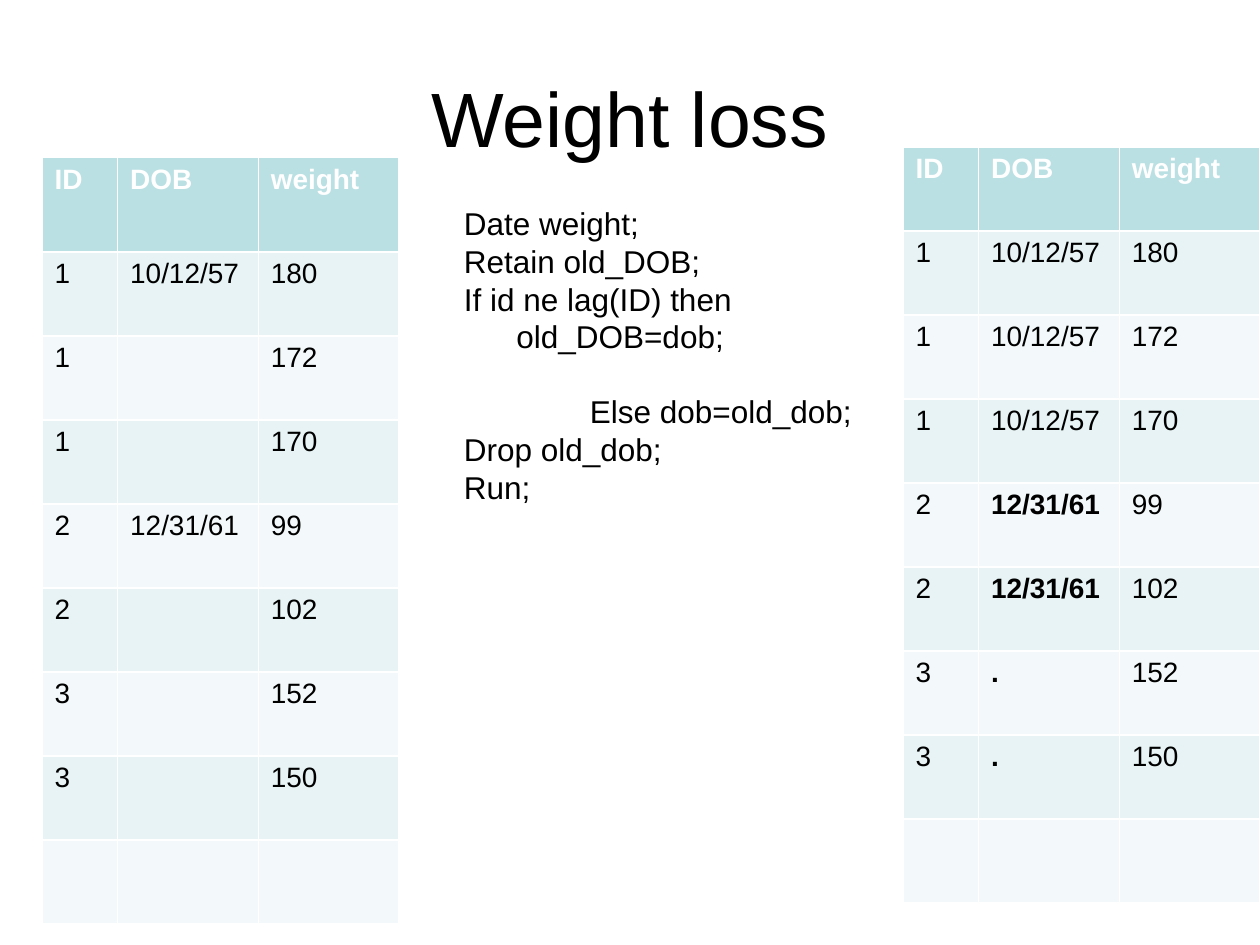
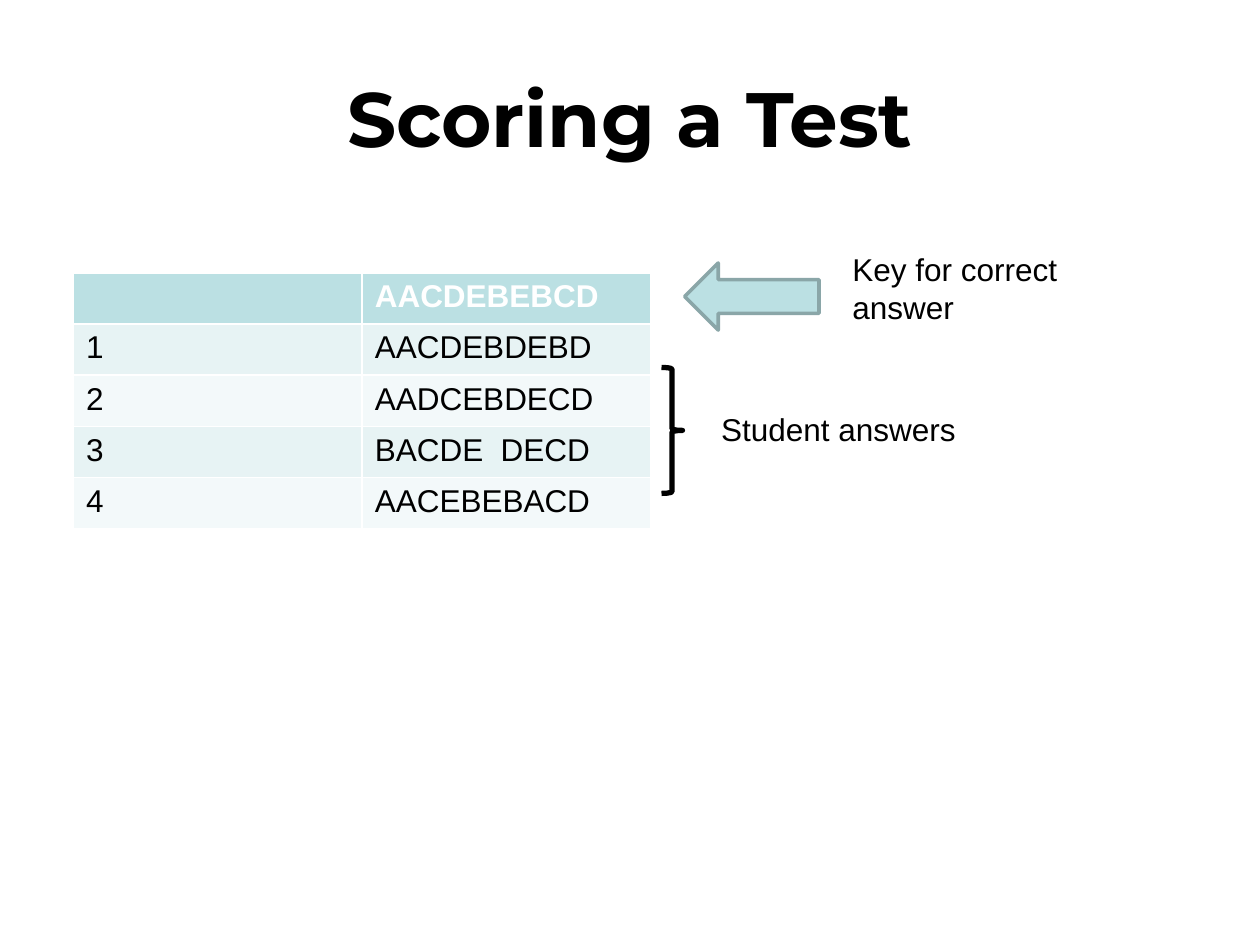
"""Builds two slides on retaining values and scoring a test."""
from dataclasses import dataclass
from typing import NamedTuple

import pptx
import pptx.dml.color
import pptx.enum.shapes
import pptx.enum.text
import pptx.util

SHAPES = pptx.enum.shapes.MSO_SHAPE
GRID_COLUMNS, GRID_ROWS = 120, 90
SLIDE_WIDTH, SLIDE_HEIGHT = pptx.util.Inches(10), pptx.util.Inches(7.5)


@dataclass(frozen=True)
class Theme:
    font: str = "Arial"
    accent_font: str = "Montserrat"
    ink: str = "000000"
    paper: str = "FFFFFF"
    header: str = "BBE0E3"
    bands: tuple[str, str] = ("E7F3F4", "F3F9FA")
    outline: str = "8AA6A8"
    title_size: int = 44
    body_size: int = 18
    record_size: int = 16


THEME = Theme()


class Area(NamedTuple):
    left: float
    top: float
    width: float
    height: float


class Line(NamedTuple):
    text: str
    indent: float = 0
    gap: float = 0


@dataclass(frozen=True)
class Grid:
    left: float
    top: float
    columns: tuple[float, ...]
    header_height: float
    row_height: float
    rows: list[tuple[str, ...]]
    size: int
    bold: frozenset[tuple[int, int]] = frozenset()


@dataclass(frozen=True)
class Marker:
    kind: pptx.enum.shapes.MSO_SHAPE
    area: Area
    line: str
    line_width: float
    fill: str | None = None
    rotation: float = 0


TITLE_AREA = Area(6, 3.6, 108, 15)
HEADER = ("ID", "DOB", "weight")
RECORDS = [("1", "180"), ("1", "172"), ("1", "170"), ("2", "99"),
           ("2", "102"), ("3", "152"), ("3", "150")]
RECORDED_DOBS = ["10/12/57", "", "", "12/31/61", "", "", ""]
RETAINED_DOBS = ["10/12/57"] * 3 + ["12/31/61"] * 2 + ["."] * 2
RECORD_COLUMNS = (7.2, 13.4, 13.4)
RETAIN_STEP = [
    Line("Date weight;"),
    Line("Retain old_DOB;"),
    Line("If id ne lag(ID) then"),
    Line("old_DOB=dob;", indent=5),
    Line("Else dob=old_dob;", indent=12, gap=21),
    Line("Drop old_dob;"),
    Line("Run;"),
]
ANSWERS = [("", "AACDEBEBCD"), ("1", "AACDEBDEBD"), ("2", "AADCEBDECD"),
           ("3", "BACDE  DECD"), ("4", "AACEBEBACD")]


def across(columns: float) -> int:
    """Turn grid columns into a length."""
    return round(SLIDE_WIDTH * columns / GRID_COLUMNS)


def down(rows: float) -> int:
    """Turn grid rows into a length."""
    return round(SLIDE_HEIGHT * rows / GRID_ROWS)


def place(area: Area) -> tuple[int, int, int, int]:
    """Turn a grid area into left, top, width and height."""
    return across(area.left), down(area.top), across(area.width), down(area.height)


def rgb(colour: str) -> pptx.dml.color.RGBColor:
    """Read a hexadecimal colour."""
    return pptx.dml.color.RGBColor.from_string(colour)


def style(paragraph, size: int, colour: str = THEME.ink, bold: bool = False,
          font: str = THEME.font) -> None:
    """Format all text of a paragraph."""
    paragraph.font.name = font
    paragraph.font.size = pptx.util.Pt(size)
    paragraph.font.bold = bold
    paragraph.font.color.rgb = rgb(colour)


def add_titled_slide(deck, heading: str, font: str = THEME.font, bold: bool = False):
    """Add a slide with a centred title."""
    slide = deck.slides.add_slide(deck.slide_layouts[5])
    title = slide.shapes.title
    title.left, title.top, title.width, title.height = place(TITLE_AREA)
    title.text_frame.text = heading
    title.text_frame.vertical_anchor = pptx.enum.text.MSO_ANCHOR.MIDDLE
    paragraph = title.text_frame.paragraphs[0]
    paragraph.alignment = pptx.enum.text.PP_ALIGN.CENTER
    style(paragraph, THEME.title_size, bold=bold, font=font)
    return slide


def add_grid(slide, grid: Grid) -> None:
    """Draw a table with a header and two alternating bands."""
    heights = [grid.header_height] + [grid.row_height] * (len(grid.rows) - 1)
    area = Area(grid.left, grid.top, sum(grid.columns), sum(heights))
    table = slide.shapes.add_table(len(heights), len(grid.columns), *place(area)).table
    for column, width in zip(table.columns, grid.columns):
        column.width = across(width)
    for r, (values, height) in enumerate(zip(grid.rows, heights)):
        table.rows[r].height = down(height)
        is_header = r == 0
        for c, value in enumerate(values):
            cell = table.cell(r, c)
            cell.text = value
            cell.fill.solid()
            cell.fill.fore_color.rgb = rgb(
                THEME.header if is_header else THEME.bands[(r - 1) % 2])
            style(cell.text_frame.paragraphs[0], grid.size,
                  THEME.paper if is_header else THEME.ink,
                  is_header or (r, c) in grid.bold)


def add_lines(slide, area: Area, lines: list[Line]) -> None:
    """Write lines of body text, each with its own indent and gap above."""
    frame = slide.shapes.add_textbox(*place(area)).text_frame
    frame.word_wrap = True
    for i, line in enumerate(lines):
        paragraph = frame.add_paragraph() if i else frame.paragraphs[0]
        paragraph.text = line.text
        style(paragraph, THEME.body_size)
        if line.gap:
            paragraph.space_before = pptx.util.Pt(line.gap)
        if line.indent:
            paragraph._p.get_or_add_pPr().set("marL", str(across(line.indent)))


def add_marker(slide, marker: Marker) -> None:
    """Draw a shape that points out part of a table."""
    shape = slide.shapes.add_shape(marker.kind, *place(marker.area))
    shape.shadow.inherit = False
    shape.rotation = marker.rotation
    shape.line.color.rgb = rgb(marker.line)
    shape.line.width = pptx.util.Pt(marker.line_width)
    if marker.fill:
        shape.fill.solid()
        shape.fill.fore_color.rgb = rgb(marker.fill)
    else:
        shape.fill.background()


def record_rows(dobs: list[str]) -> list[tuple[str, ...]]:
    """Join dates of birth to the records, closed by an empty row."""
    joined = [(person, dob, weight) for (person, weight), dob in zip(RECORDS, dobs)]
    return [HEADER, *joined, ("", "", "")]


def build_weight_loss(deck) -> None:
    """Show the records before and after the retain step."""
    slide = add_titled_slide(deck, "Weight loss")
    add_grid(slide, Grid(4, 15, RECORD_COLUMNS, 9, 8,
                         record_rows(RECORDED_DOBS), THEME.record_size))
    add_lines(slide, Area(43, 18.84, 39.72, 34), RETAIN_STEP)
    add_grid(slide, Grid(86, 14, RECORD_COLUMNS, 8, 8,
                         record_rows(RETAINED_DOBS), THEME.record_size,
                         frozenset((row, 1) for row in range(4, 8))))


def build_scoring(deck) -> None:
    """Show the answer key above the student answers."""
    slide = add_titled_slide(deck, "Scoring a Test", THEME.accent_font, bold=True)
    add_grid(slide, Grid(7, 26, (27.5, 27.5), 4.87, 4.87, ANSWERS, THEME.body_size))
    add_marker(slide, Marker(SHAPES.DOWN_ARROW, Area(68.4, 21.84, 6.4, 12.8),
                             THEME.outline, 2, THEME.header, 90))
    add_lines(slide, Area(80, 23.2, 28, 8.5), [Line("Key for correct answer")])
    add_marker(slide, Marker(SHAPES.RIGHT_BRACE, Area(63, 35, 2, 12), THEME.ink, 3))
    add_lines(slide, Area(67.5, 38.5, 25, 4.8), [Line("Student answers")])


def main() -> None:
    """Build and save the deck."""
    deck = pptx.Presentation()
    deck.slide_width, deck.slide_height = SLIDE_WIDTH, SLIDE_HEIGHT
    build_weight_loss(deck)
    build_scoring(deck)
    deck.save("out.pptx")


if __name__ == "__main__":
    main()
